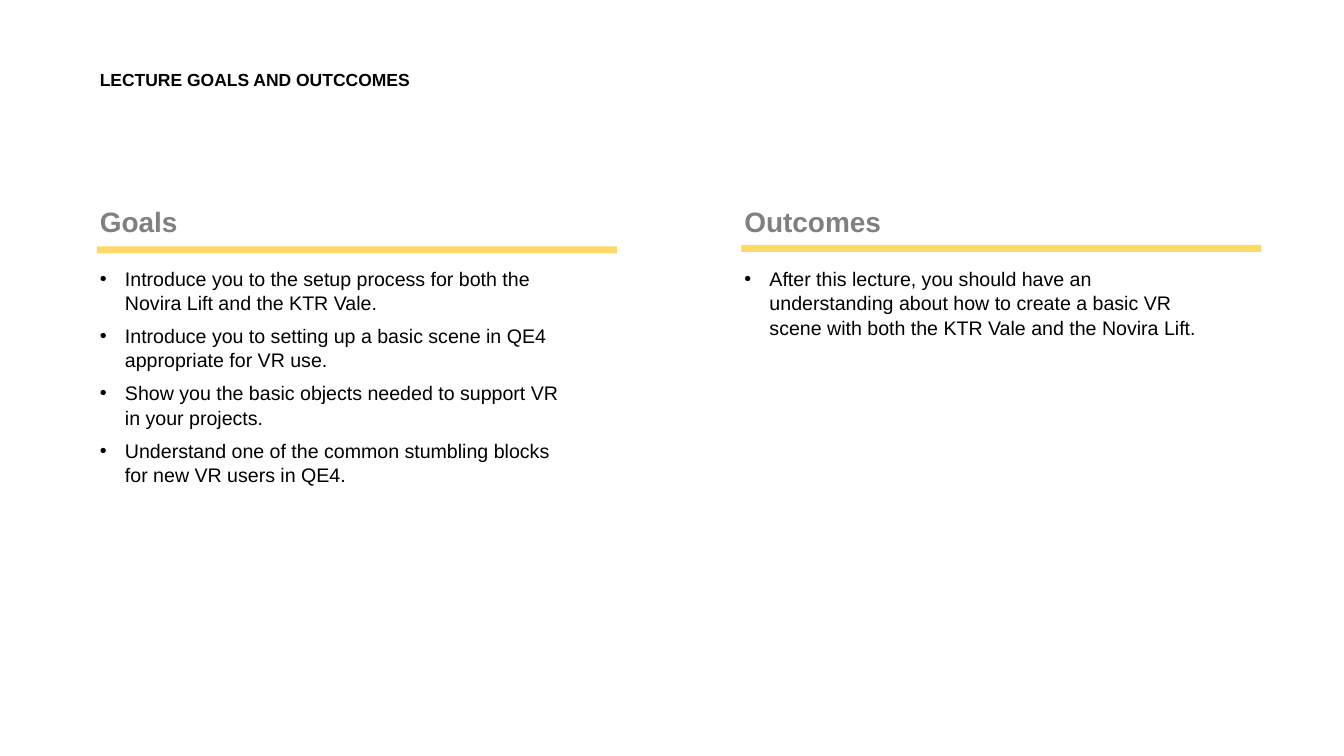
"""Build the lecture goals and outcomes slide."""
from lxml import etree
from pptx import Presentation
from pptx.dml.color import RGBColor
from pptx.enum.shapes import MSO_SHAPE
from pptx.enum.text import MSO_ANCHOR, PP_ALIGN
from pptx.oxml.ns import qn
from pptx.util import Pt

RECTANGLE = MSO_SHAPE.RECTANGLE
TOP = MSO_ANCHOR.TOP
LEFT = PP_ALIGN.LEFT

COLORS = {"text": "000000", "heading": "808080", "rule": "FFD966"}
FONT = "Arial"
TITLE = "LECTURE GOALS AND OUTCCOMES"
COLUMNS = [
    {
        "heading": "Goals", "left": 138.24, "heading_width": 120.24,
        "rule_top": 352.08, "height": 316.08,
        "points": [
            "Introduce you to the setup process for both the Novira Lift and the KTR Vale.",
            "Introduce you to setting up a basic scene in QE4 appropriate for VR use.",
            "Show you the basic objects needed to support VR in your projects.",
            "Understand one of the common stumbling blocks for new VR users in QE4.",
        ],
    },
    {
        "heading": "Outcomes", "left": 1059.12, "heading_width": 205.92,
        "rule_top": 349.92, "height": 110.16,
        "points": [
            "After this lecture, you should have an understanding about how to create "
            "a basic VR scene with both the KTR Vale and the Novira Lift.",
        ],
    },
]
HEADING_TOP, HEADING_HEIGHT = 288, 56.88
POINTS_TOP, POINTS_WIDTH = 375.12, 670.32
RULE_WIDTH, RULE_HEIGHT = 743.04, 10.08
INSET, INDENT, GAP = 4.32, 36, 6


def color(name):
    return RGBColor.from_string(COLORS[name])


def write(box, lines, size, color_name, bold=False, wrap=False):
    frame = box.text_frame
    frame.margin_left = frame.margin_right = Pt(INSET)
    frame.margin_top = frame.margin_bottom = Pt(INSET)
    frame.vertical_anchor = TOP
    frame.word_wrap = wrap
    frame.text = "\n".join(lines)
    for paragraph in frame.paragraphs:
        paragraph.alignment = LEFT
        paragraph.font.name = FONT
        paragraph.font.size = Pt(size)
        paragraph.font.bold = bold
        paragraph.font.color.rgb = color(color_name)
    return frame.paragraphs


def add_bullet(paragraph):
    paragraph.space_before = paragraph.space_after = Pt(GAP)
    paragraph.line_spacing = 1.04
    properties = paragraph._p.get_or_add_pPr()
    properties.set("marL", str(Pt(INDENT)))
    properties.set("indent", str(-Pt(INDENT)))
    bullet_font = etree.Element(qn("a:buFont"), typeface=FONT)
    bullet = etree.Element(qn("a:buChar"), char="•")
    properties.find(qn("a:defRPr")).addprevious(bullet_font)
    bullet_font.addnext(bullet)


def add_column(shapes, column):
    left = Pt(column["left"])
    heading = shapes.add_textbox(
        left, Pt(HEADING_TOP), Pt(column["heading_width"]), Pt(HEADING_HEIGHT))
    write(heading, [column["heading"]], 40, "heading", bold=True)

    points = shapes.add_textbox(
        left, Pt(POINTS_TOP), Pt(POINTS_WIDTH), Pt(column["height"]))
    for paragraph in write(points, column["points"], 28, "text", wrap=True):
        add_bullet(paragraph)

    rule = shapes.add_shape(
        RECTANGLE, left, Pt(column["rule_top"]), Pt(RULE_WIDTH), Pt(RULE_HEIGHT))
    rule.shadow.inherit = False
    rule.fill.solid()
    rule.fill.fore_color.rgb = color("rule")
    rule.line.fill.background()


def main():
    deck = Presentation()
    deck.slide_width, deck.slide_height = Pt(1920.24), Pt(1080)
    slide = deck.slides.add_slide(deck.slide_layouts[5])
    title = slide.shapes.title
    title.left, title.top = Pt(138.24), Pt(93.6)
    title.width, title.height = Pt(455.76), Pt(38.16)
    write(title, [TITLE], 25, "text", bold=True)
    for column in COLUMNS:
        add_column(slide.shapes, column)
    deck.save("out.pptx")


if __name__ == "__main__":
    main()
